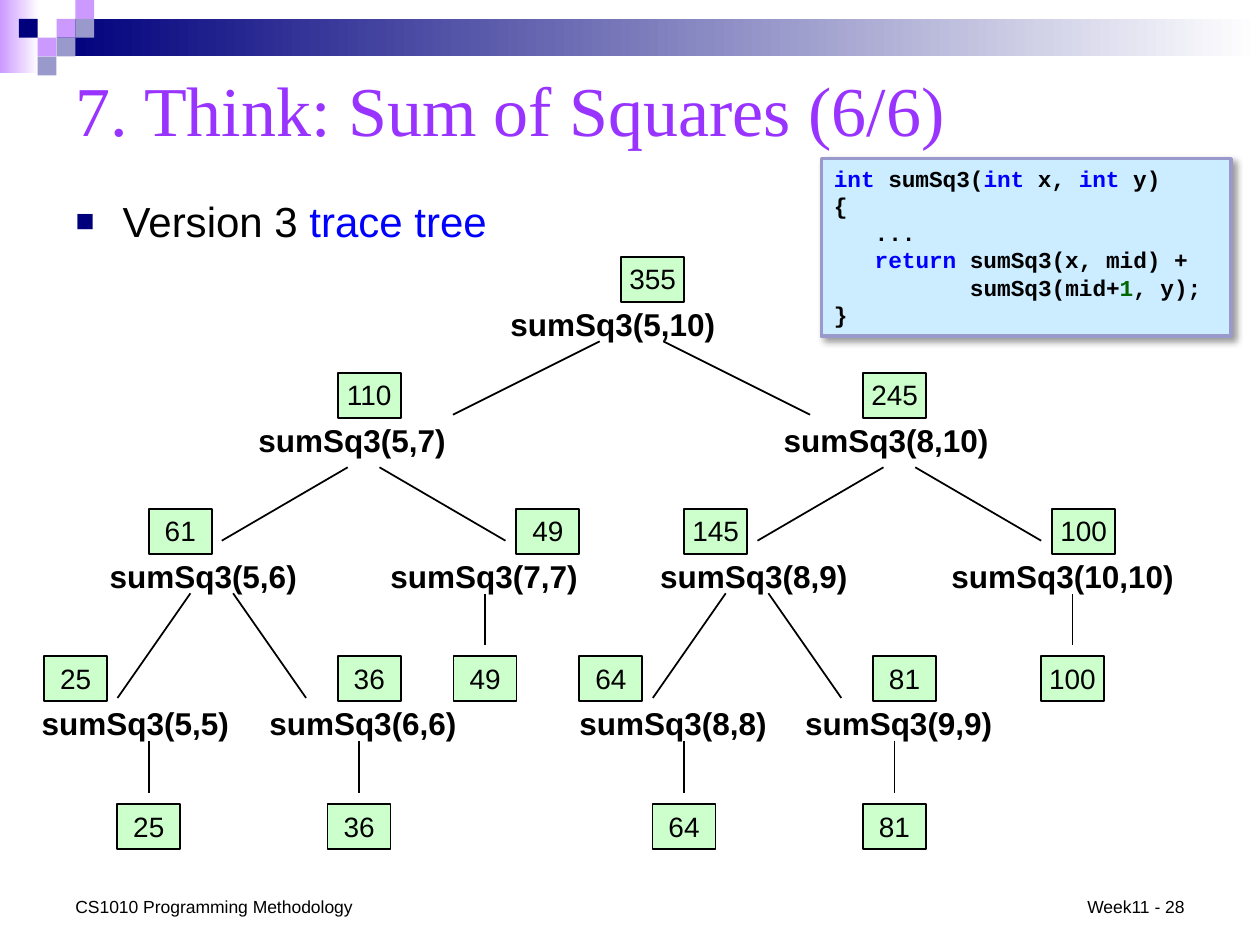
from lxml import etree
from pptx import Presentation
from pptx.dml.color import RGBColor
from pptx.enum.shapes import MSO_CONNECTOR, MSO_SHAPE
from pptx.enum.text import MSO_ANCHOR, MSO_AUTO_SIZE, PP_ALIGN
from pptx.oxml.ns import qn
from pptx.util import Cm, Pt

RECT, LINE = MSO_SHAPE.RECTANGLE, MSO_CONNECTOR.STRAIGHT
TOP, MID, LOW = MSO_ANCHOR.TOP, MSO_ANCHOR.MIDDLE, MSO_ANCHOR.BOTTOM
LEFT, CENTRE, RIGHT = PP_ALIGN.LEFT, PP_ALIGN.CENTER, PP_ALIGN.RIGHT
FIXED = MSO_AUTO_SIZE.NONE

THEME = {
    "sans": "Arial", "serif": "Times New Roman", "mono": "Courier New",
    "title": 40, "body": 24, "call": 18, "value": 16, "code": 13, "foot": 10,
    "ink": "000000", "head": "9933FF", "key": "0000FF", "number": "006600",
    "navy": "00007D", "lilac": "CC99FF", "slate": "9999CC", "white": "FFFFFF",
    "green": "CCFFCC", "sky": "CCECFF",
}

TITLE = "7. Think: Sum of Squares (6/6)"
POINT = [("Version 3 ", "ink"), ("trace tree", "key")]
FOOT = [("CS1010 Programming Methodology", 1.27, 6.15, LEFT),
        ("Week11 - 28", 21.62, 2.51, RIGHT)]
CODE = [
    [("int ", "key"), ("sumSq3(", "ink"), ("int", "key"), (" x, ", "ink"),
     ("int", "key"), (" y)", "ink")],
    [("{", "ink")],
    [("   ...", "ink")],
    [("   return", "key"), (" sumSq3(x, mid) +", "ink")],
    [("          sumSq3(mid+", "ink"), ("1", "number"), (", y);", "ink")],
    [("}", "ink")],
]

# Lengths in cm. Calls: row, value, value left, arguments, call left, call width
CALLS = [
    (0, "355", 12.52, "5,10", 10.19, 6.15),
    (1, "110", 6.81, "5,7", 5.11, 5.72),
    (1, "245", 17.4, "8,10", 15.7, 5.72),
    (2, "61", 3, "5,6", 2.11, 4.06),
    (2, "49", 10.41, "7,7", 7.77, 4.11),
    (2, "145", 13.79, "8,9", 13.21, 4.19),
    (2, "100", 21.21, "10,10", 19.08, 4.83),
    (3, "25", 0.89, "5,5", 0.74, 4.17),
    (3, "36", 6.81, "6,6", 5.33, 4.22),
    (3, "64", 11.68, "8,8", 11.58, 4.11),
    (3, "81", 17.6, "9,9", 16.13, 4.19),
]
ROWS = [5.18, 7.52, 10.26, 13.23, 16.21]
# Forks: centres, half gap at top, half gap at foot, top, foot
FORKS = [
    ([12.73], 0.64, 3.6, 6.88, 8.36),
    ([7.33, 18.13], 0.32, 2.86, 9.42, 10.9),
    ([4.27, 15.06], 0.43, 1.9, 11.96, 14.07),
]
# Leaves: row of the call, centre, value
LEAVES = [(2, 9.78, "49"), (2, 21.62, "100"), (3, 3, "25"),
          (3, 7.24, "36"), (3, 13.79, "64"), (3, 18.03, "81")]
BOX_W, BOX_H, CALL_H, CALL_DROP = 1.27, 0.91, 0.97, 0.86
STEM_DROP, LEAF_GAP, PAD = 1.71, 0.22, 0.1
TILE = 0.38
TILES = [(3, 1, "lilac"), (4, 0, "lilac"), (4, 1, "slate"), (2, 2, "lilac"),
         (1, 1, "navy"), (3, 2, "slate"), (2, 3, "slate")]


def tint(name):
    return RGBColor.from_string(THEME[name])


def place(shape, x, y, w, h):
    shape.left, shape.top, shape.width, shape.height = map(Cm, (x, y, w, h))


def write(shape, lines, size, face="sans", bold=False, align=LEFT,
          anchor=TOP, pad=None):
    frame = shape.text_frame
    frame.word_wrap = True
    frame.auto_size = FIXED
    frame.vertical_anchor = anchor
    if pad is not None:
        frame.margin_left = frame.margin_right = Cm(pad)
        frame.margin_top = frame.margin_bottom = Cm(pad)
    for i, line in enumerate(lines):
        para = frame.add_paragraph() if i else frame.paragraphs[0]
        para.alignment = align
        para.space_before = Pt(0)
        for text, name in line:
            run = para.add_run()
            run.text = text
            run.font.name = THEME[face]
            run.font.size = Pt(THEME[size])
            run.font.bold = bold
            run.font.color.rgb = tint(name)


def add_rect(x, y, w, h, fill, edge=None, width=1):
    shape = shapes.add_shape(RECT, Cm(x), Cm(y), Cm(w), Cm(h))
    shape.shadow.inherit = False
    shape.fill.solid()
    shape.fill.fore_color.rgb = tint(fill)
    if edge:
        shape.line.color.rgb = tint(edge)
        shape.line.width = Pt(width)
    else:
        shape.line.fill.background()
    return shape


def add_fade(x, y, w, h, start):
    fill = add_rect(x, y, w, h, start).fill
    fill.gradient()
    fill.gradient_angle = 0
    for stop, name in zip(fill.gradient_stops, (start, "white")):
        stop.color.rgb = tint(name)


def add_text(x, y, w, h, text, size, **style):
    box = shapes.add_textbox(Cm(x), Cm(y), Cm(w), Cm(h))
    write(box, [[(text, "ink")]], size, **style)


def add_value(x, row, text):
    box = add_rect(x, ROWS[row], BOX_W, BOX_H, "green", "ink")
    write(box, [[(text, "ink")]], "value", align=CENTRE, pad=PAD)


def add_link(x1, y1, x2, y2):
    link = shapes.add_connector(LINE, Cm(x1), Cm(y1), Cm(x2), Cm(y2))
    link.line.color.rgb = tint("ink")
    link.line.width = Pt(1)
    etree.SubElement(link._element.spPr, qn("a:effectLst"))


def add_shade(shape):
    """Cast a soft grey shadow down and to the right."""
    effects = shape._element.spPr.find(qn("a:effectLst"))
    outer = etree.SubElement(effects, qn("a:outerShdw"), blurRad=str(Pt(4)),
                             dist=str(Pt(3)), dir="2700000", algn="tl",
                             rotWithShape="0")
    color = etree.SubElement(outer, qn("a:srgbClr"), val=THEME["ink"])
    etree.SubElement(color, qn("a:alpha"), val="40000")


def add_bullet(para):
    props = para._p.get_or_add_pPr()
    props.set("marL", str(Cm(0.95)))
    props.set("indent", str(Cm(-0.95)))
    color = etree.SubElement(props, qn("a:buClr"))
    etree.SubElement(color, qn("a:srgbClr"), val=THEME["navy"])
    etree.SubElement(props, qn("a:buSzPct"), val="75000")
    etree.SubElement(props, qn("a:buFont"), typeface=THEME["sans"])
    etree.SubElement(props, qn("a:buChar"), char="■")


deck = Presentation()
deck.slide_width, deck.slide_height = Cm(25.4), Cm(19.05)
slide = deck.slides.add_slide(deck.slide_layouts[1])
shapes = slide.shapes

title, body = shapes.title, slide.placeholders[1]
place(title, 1.27, 1.07, 22.86, 2.24)
write(title, [[(TITLE, "head")]], "title", face="serif", anchor=MID)
place(body, 1.27, 3.81, 22.86, 1.55)
write(body, [POINT], "body")
add_bullet(body.text_frame.paragraphs[0])

add_fade(0, 0, 0.79, 1.47, "lilac")
add_fade(1.14, TILE, 24.26, 0.76, "navy")
for col, row, name in TILES:
    add_rect(col * TILE, row * TILE, TILE, TILE, name)

for row, value, x, args, left, width in CALLS:
    add_value(x, row, value)
    add_text(left, ROWS[row] + CALL_DROP, width, CALL_H, f"sumSq3({args})",
             "call", bold=True, pad=PAD)
for centres, near, far, top, foot in FORKS:
    for mid in centres:
        for side in (-1, 1):
            add_link(mid + side * near, top, mid + side * far, foot)
for row, mid, value in LEAVES:
    add_link(mid, ROWS[row] + STEM_DROP, mid, ROWS[row + 1] - LEAF_GAP)
    add_value(mid - BOX_W / 2, row + 1, value)

code = add_rect(16.56, 3.2, 8.26, 3.58, "sky", "slate", 2)
add_shade(code)
write(code, CODE, "code", face="mono", bold=True)
for para in code.text_frame.paragraphs:
    para.line_spacing = Pt(15.5)

for text, x, width, align in FOOT:
    add_text(x, 17.93, width, 0.69, text, "foot", align=align, anchor=LOW)

deck.save("out.pptx")
